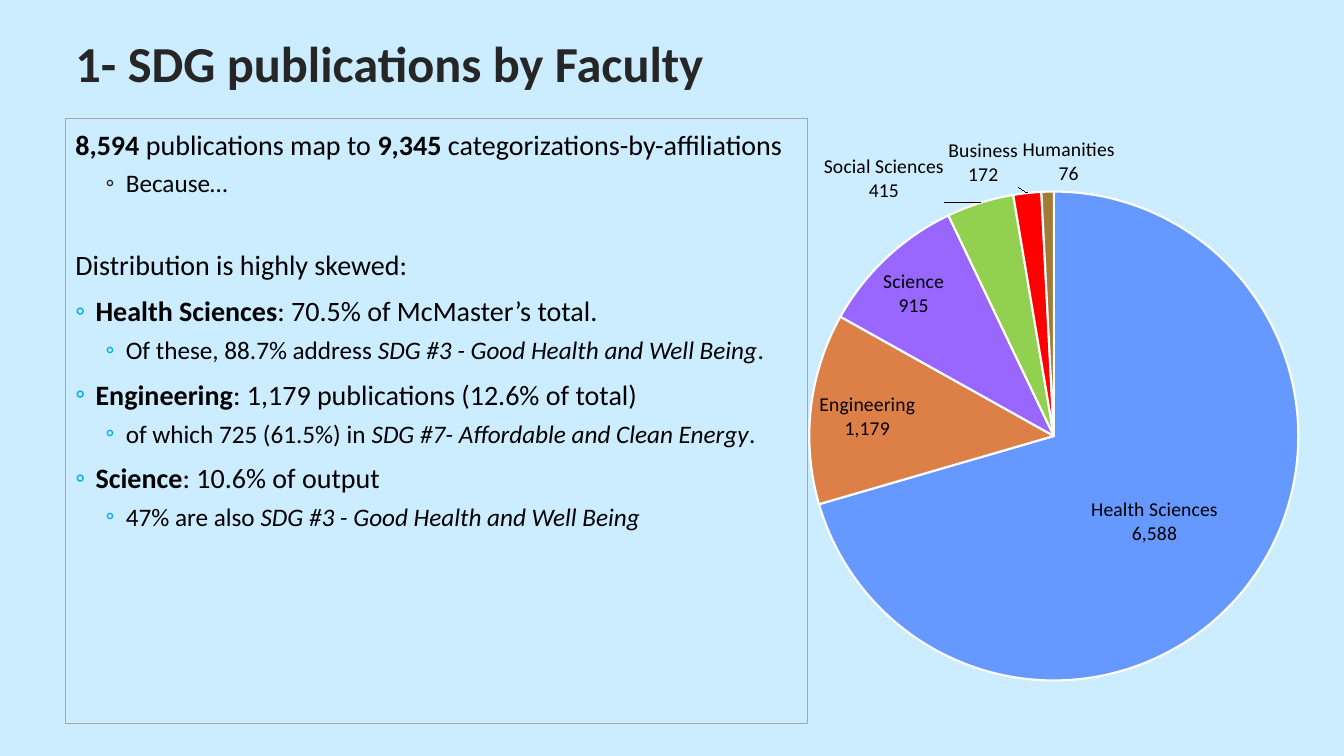
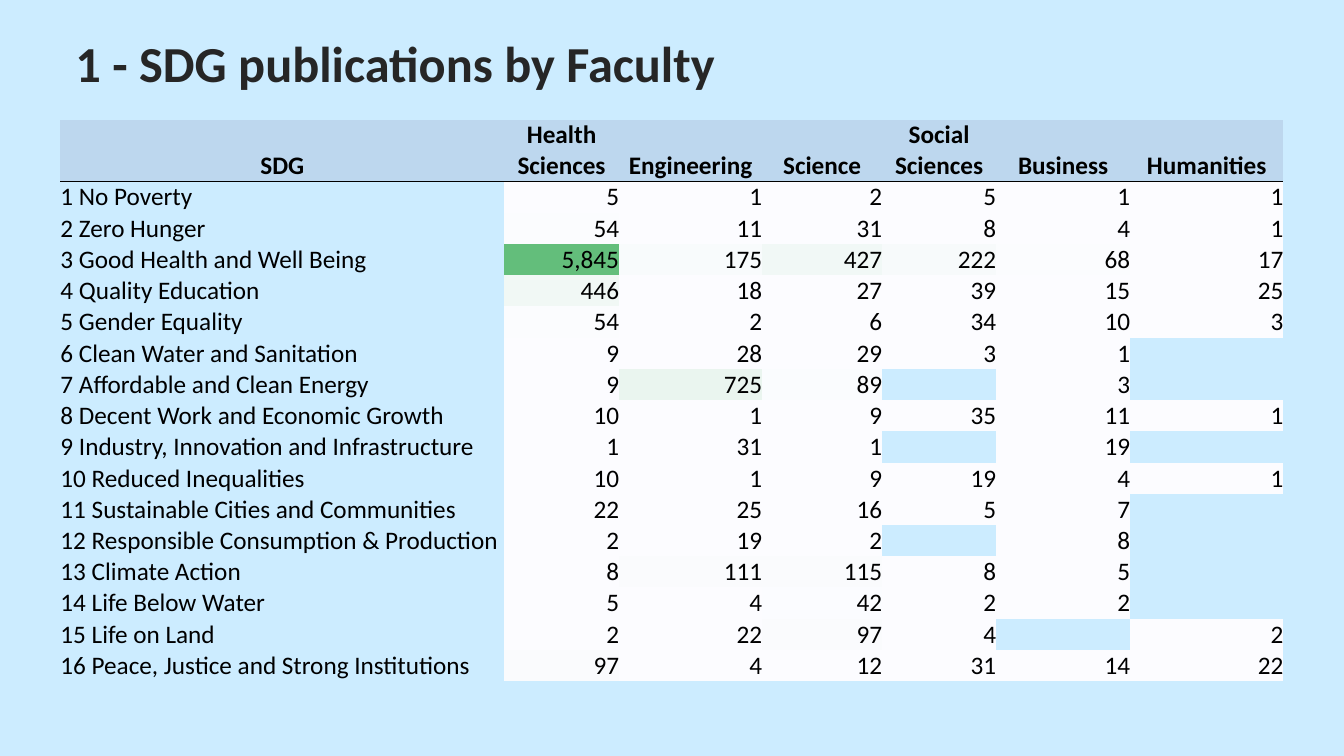
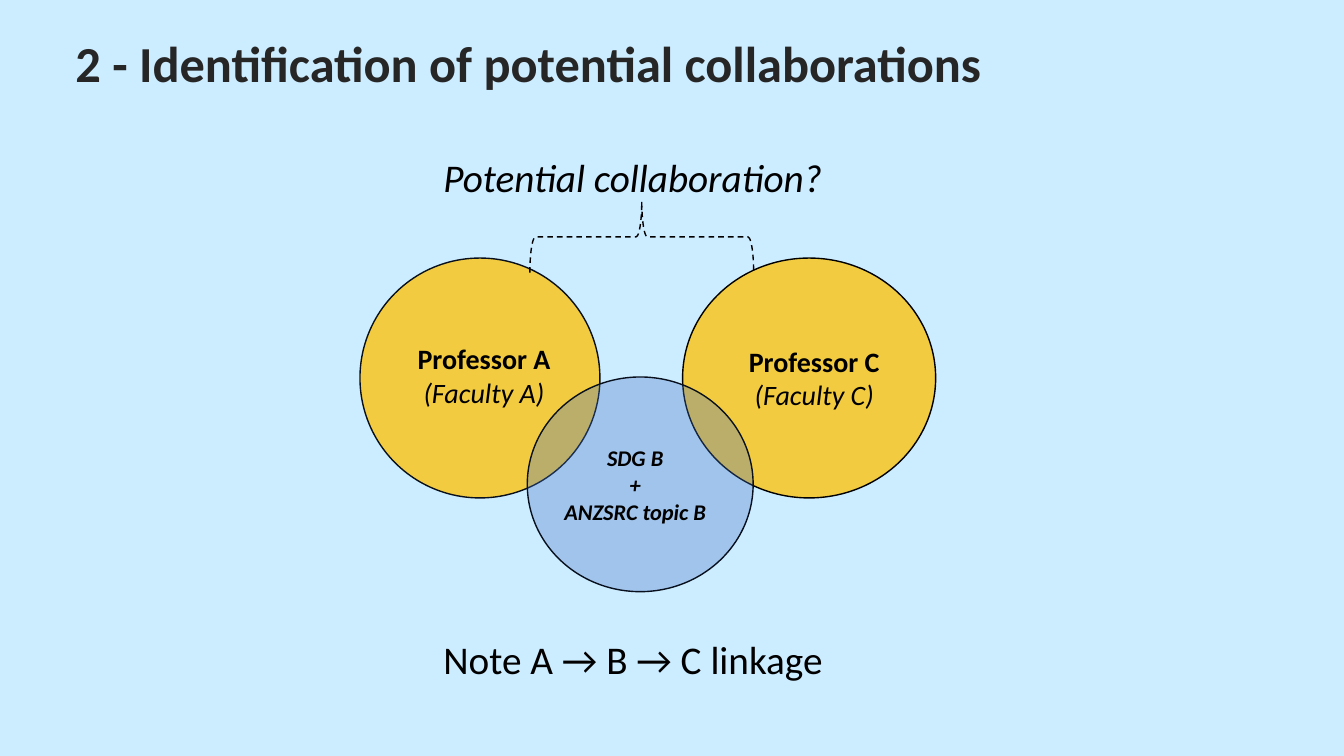
from math import ceil

from pptx import Presentation
from pptx.chart.data import CategoryChartData
from pptx.dml.color import RGBColor
from pptx.enum.chart import XL_CHART_TYPE as ChartType, XL_LABEL_POSITION as LabelPosition
from pptx.enum.dml import MSO_LINE as Dash
from pptx.enum.shapes import MSO_SHAPE as Shape
from pptx.enum.text import MSO_ANCHOR as Anchor, PP_ALIGN as Align
from pptx.oxml import parse_xml
from pptx.oxml.ns import nsdecls, qn
from pptx.util import Inches, Pt

FONT = "Calibri"
COLORS = {
    "background": "CCECFF", "title": "262626", "text": "000000", "white": "FFFFFF",
    "frame": "A6A6A6", "bullet": "00B0F0", "header": "BDD7EE",
    "scale_low": "FCFCFF", "scale_high": "63BE7B",
    "professor": "FFC000", "topic": "4472C4", "outline": "09101D",
}
NO_GRID_STYLE = "{2D5ABB26-0587-4C30-8999-92F81FD0307C}"

FINDINGS = [
    ("plain", 0, [("8,594", "b"), (" publications map to ", ""), ("9,345", "b"),
                  (" categorizations-by-affiliations", "")]),
    ("aside", 5, [("Because…", "")]),
    ("plain", 33, [("Distribution is highly skewed:", "")]),
    ("item", 9, [("Health Sciences", "b"), (": 70.5% of McMaster’s total.", "")]),
    ("detail", 5, [("Of these, 88.7% address ", ""),
                   ("SDG #3 - Good Health and Well Being", "i"), (".", "")]),
    ("item", 9, [("Engineering", "b"), (": 1,179 publications (12.6% of total)", "")]),
    ("detail", 5, [("of which 725 (61.5%) in ", ""),
                   ("SDG #7- Affordable and Clean Energy", "i"), (".", "")]),
    ("item", 9, [("Science", "b"), (": 10.6% of output", "")]),
    ("detail", 5, [("47% are also ", ""), ("SDG #3 - Good Health and Well Being", "i")]),
]
BULLETS = {"aside": (0.5, 18, "title"), "item": (0.2, 20, "bullet"),
           "detail": (0.5, 18, "bullet")}

FACULTIES = [
    ("Health Sciences", 6588, "6699FF"), ("Engineering", 1179, "DD8047"),
    ("Science", 915, "9966FF"), ("Social Sciences", 415, "92D050"),
    ("Business", 172, "FF0000"), ("Humanities", 76, "A17C36"),
]
LABEL_SHIFTS = {0: (-0.19, -0.16), 3: (-0.04, 0.01)}

GOALS = [
    ("1 No Poverty", 5, 1, 2, 5, 1, 1),
    ("2 Zero Hunger", 54, 11, 31, 8, 4, 1),
    ("3 Good Health and Well Being", 5845, 175, 427, 222, 68, 17),
    ("4 Quality Education", 446, 18, 27, 39, 15, 25),
    ("5 Gender Equality", 54, 2, 6, 34, 10, 3),
    ("6 Clean Water and Sanitation", 9, 28, 29, 3, 1, None),
    ("7 Affordable and Clean Energy", 9, 725, 89, None, 3, None),
    ("8 Decent Work and Economic Growth", 10, 1, 9, 35, 11, 1),
    ("9 Industry, Innovation and Infrastructure", 1, 31, 1, None, 19, None),
    ("10 Reduced Inequalities", 10, 1, 9, 19, 4, 1),
    ("11 Sustainable Cities and Communities", 22, 25, 16, 5, 7, None),
    ("12 Responsible Consumption & Production", 2, 19, 2, None, 8, None),
    ("13 Climate Action", 8, 111, 115, 8, 5, None),
    ("14 Life Below Water", 5, 4, 42, 2, 2, None),
    ("15 Life on Land", 2, 22, 97, 4, None, 2),
    ("16 Peace, Justice and Strong Institutions", 97, 4, 12, 31, 14, 22),
]
COLUMN_WIDTHS = [4.4, 1.14, 1.42, 1.19, 1.13, 1.33, 1.52]


def rgb(name):
    """Return the colour for a palette name or a hex string."""
    return RGBColor.from_string(COLORS.get(name, name))


def style_font(font, size, color="text", style=""):
    """Set face, size, colour and the b and i flags of a font."""
    font.name, font.size = FONT, Pt(size)
    font.color.rgb = rgb(color)
    font.bold, font.italic = "b" in style, "i" in style


def add_spans(para, spans, size):
    """Add styled runs to a paragraph."""
    for text, style in spans:
        span = para.add_run()
        span.text = text
        style_font(span.font, size, style=style)


def add_bullet(para, margin, color):
    """Give a paragraph a hanging ring bullet."""
    props = para._p.get_or_add_pPr()
    props.set("marL", str(Inches(margin)))
    props.set("indent", str(Inches(-0.2)))
    for xml in (f'<a:buClr {nsdecls("a")}><a:srgbClr val="{COLORS[color]}"/></a:buClr>',
                f'<a:buFont {nsdecls("a")} typeface="{FONT}"/>',
                f'<a:buChar {nsdecls("a")} char="◦"/>'):
        props.append(parse_xml(xml))


def add_text(page, box, text, size, color="text", style=""):
    """Place one line of text in a box and return its frame."""
    frame = page.shapes.add_textbox(*map(Inches, box)).text_frame
    frame.word_wrap = True
    frame.text = text
    style_font(frame.paragraphs[0].runs[0].font, size, color, style)
    return frame


def add_page(deck, title):
    """Add a blank slide with the shared title."""
    page = deck.slides.add_slide(deck.slide_layouts[6])
    frame = add_text(page, (0.65, 0.36, 11.52, 0.6), title, 36, "title", "b")
    frame.vertical_anchor = Anchor.MIDDLE
    frame.paragraphs[0].line_spacing = 0.9
    return page


def add_outlined(page, kind, box, color, width):
    """Add an unfilled preset shape with a plain outline."""
    shape = page.shapes.add_shape(kind, *map(Inches, box))
    shape.shadow.inherit = False
    shape.fill.background()
    shape.line.color.rgb = rgb(color)
    shape.line.width = Pt(width)
    return shape


def add_findings(page, box):
    """Write the findings in a framed box."""
    frame = add_outlined(page, Shape.RECTANGLE, box, "frame", 0.75).text_frame
    frame.word_wrap = True
    frame.vertical_anchor = Anchor.TOP
    for index, (kind, gap, spans) in enumerate(FINDINGS):
        para = frame.add_paragraph() if index else frame.paragraphs[0]
        para.alignment = Align.LEFT
        para.space_before = Pt(gap)
        size = 20
        if kind in BULLETS:
            margin, size, color = BULLETS[kind]
            add_bullet(para, margin, color)
        else:
            para.line_spacing = 1.1
        add_spans(para, spans, size)


def manual_layout(x, y, extra=""):
    """Return chart layout XML for a position."""
    return (f'<c:layout {nsdecls("c")}><c:manualLayout>{extra}'
            f'<c:x val="{x}"/><c:y val="{y}"/>')


def shifted_label(index, x, y):
    """Return a pie label moved from its default place."""
    return parse_xml(
        f'<c:dLbl {nsdecls("c")}><c:idx val="{index}"/>'
        f'{manual_layout(x, y)}</c:manualLayout></c:layout>'
        '<c:dLblPos val="bestFit"/><c:showLegendKey val="0"/><c:showVal val="1"/>'
        '<c:showCatName val="1"/><c:showSerName val="0"/><c:showPercent val="0"/>'
        '<c:showBubbleSize val="0"/><c:separator>\n</c:separator></c:dLbl>')


def add_faculty_pie(page, box):
    """Draw publications by faculty as a labelled pie."""
    data = CategoryChartData(number_format="#,##0")
    data.categories = [name for name, _, _ in FACULTIES]
    data.add_series("Series 1", [count for _, count, _ in FACULTIES])
    chart = page.shapes.add_chart(ChartType.PIE, *map(Inches, box), data).chart
    chart.has_legend = chart.has_title = False
    style_font(chart.font, 10)
    plot = chart.plots[0]
    plot.vary_by_categories = True
    series = plot.series[0]
    for index, (_, _, color) in enumerate(FACULTIES):
        slice_format = series.points[index].format
        slice_format.fill.solid()
        slice_format.fill.fore_color.rgb = rgb(color)
        slice_format.line.color.rgb = rgb("white")
        slice_format.line.width = Pt(1.5)

    labels = series.data_labels
    labels.show_value = labels.show_category_name = True
    labels.number_format, labels.number_format_is_linked = "#,##0", False
    labels.position = LabelPosition.BEST_FIT
    style_font(labels.font, 14)
    node = labels._element
    node.find(qn("c:showBubbleSize")).addnext(
        parse_xml(f'<c:separator {nsdecls("c")}>\n</c:separator>'))
    for place, (index, shift) in enumerate(LABEL_SHIFTS.items()):
        node.insert(place, shifted_label(index, *shift))

    area = chart._chartSpace.chart.plotArea
    for layout in area.findall(qn("c:layout")):
        area.remove(layout)
    modes = ('<c:layoutTarget val="inner"/><c:xMode val="edge"/><c:yMode val="edge"/>')
    area.insert(0, parse_xml(manual_layout(0.19, 0.1, modes)
                             + '<c:w val="0.57"/><c:h val="0.9"/>'
                             '</c:manualLayout></c:layout>'))


def scale_color(value, low, high):
    """Return the heat colour of a value between two limits."""
    share = (value - low) / (high - low)
    pairs = zip(rgb("scale_low"), rgb("scale_high"))
    return RGBColor(*(ceil(start + (end - start) * share) for start, end in pairs))


def fill_cell(cell, text, align, style="", color=None):
    """Write one table cell with no margins."""
    cell.margin_left = cell.margin_right = cell.margin_top = cell.margin_bottom = 0
    cell.vertical_anchor = Anchor.BOTTOM
    if color is None:
        cell.fill.background()
    else:
        cell.fill.solid()
        cell.fill.fore_color.rgb = color
    para = cell.text_frame.paragraphs[0]
    para.text = text
    para.alignment = align
    style_font(para.font, 18, style=style)
    for span in para.runs:
        style_font(span.font, 18, style=style)


def add_goal_table(page, left, top):
    """Draw the heat table of goals by faculty."""
    table = page.shapes.add_table(
        len(GOALS) + 1, len(COLUMN_WIDTHS), Inches(left), Inches(top),
        Inches(sum(COLUMN_WIDTHS)), Inches(0.61 + 0.31 * len(GOALS))).table
    table.horz_banding = False
    table._tbl.tblPr.find(qn("a:tableStyleId")).text = NO_GRID_STYLE
    for column, width in zip(table.columns, COLUMN_WIDTHS):
        column.width = Inches(width)
    for index, row in enumerate(table.rows):
        row.height = Inches(0.31 if index else 0.61)

    for column, name in enumerate(["SDG"] + [name for name, _, _ in FACULTIES]):
        cell = table.cell(0, column)
        fill_cell(cell, name, Align.CENTER, "b", rgb("header"))
        cell._tc.get_or_add_tcPr().insert(0, parse_xml(
            f'<a:lnB {nsdecls("a")} w="{Pt(0.5)}"><a:solidFill>'
            f'<a:srgbClr val="{COLORS["text"]}"/></a:solidFill></a:lnB>'))

    counts = [count for _, *row in GOALS for count in row if count is not None]
    low, high = min(counts), max(counts)
    for index, (goal, *row) in enumerate(GOALS, 1):
        fill_cell(table.cell(index, 0), goal, Align.LEFT)
        for column, count in enumerate(row, 1):
            cell = table.cell(index, column)
            if count is None:
                fill_cell(cell, "", Align.RIGHT)
            else:
                fill_cell(cell, f"{count:,}", Align.RIGHT, color=scale_color(count, low, high))


def add_circle(page, box, fill, opacity, outline, insets, size, lines):
    """Draw a see-through circle with centred lines."""
    circle = add_outlined(page, Shape.OVAL, box, outline, 1)
    circle.fill.solid()
    circle.fill.fore_color.rgb = rgb(fill)
    circle._element.spPr.find(qn("a:solidFill"))[0].append(
        parse_xml(f'<a:alpha {nsdecls("a")} val="{opacity * 1000}"/>'))
    frame = circle.text_frame
    frame.word_wrap = True
    frame.vertical_anchor = Anchor.MIDDLE
    (frame.margin_left, frame.margin_top,
     frame.margin_right, frame.margin_bottom) = map(Inches, insets)
    for index, line in enumerate(lines):
        para = frame.add_paragraph() if index else frame.paragraphs[0]
        para.alignment = Align.CENTER
        add_spans(para, [line], size)


def add_collaboration_diagram(page, left, top):
    """Draw two professors linked by a shared topic."""
    add_circle(page, (left, top + 1.09, 2.38, 2.38), "professor", 75, "outline",
               (0.18, 0, 0.1, 0.05), 20, [("Professor A", "b"), ("(Faculty A)", "i")])
    add_circle(page, (left + 3.2, top + 1.09, 2.51, 2.38), "professor", 75, "text",
               (0.2, 0.05, 0.1, 0.05), 20, [("Professor C", "b"), ("(Faculty C)", "i")])
    add_circle(page, (left + 1.66, top + 2.27, 2.24, 2.13), "topic", 32, "outline",
               (0, 0.05, 0.1, 0.05), 16,
               [("SDG B", "bi"), ("+", "bi"), ("ANZSRC topic B", "bi")])
    brace = add_outlined(page, Shape.RIGHT_BRACE, (left + 2.44, top - 0.23, 0.71, 2.22),
                         "text", 1)
    brace.rotation = 270
    brace.adjustments[0], brace.adjustments[1] = 0.08, 0.5
    brace.line.dash_style = Dash.DASH
    add_text(page, (left + 0.73, top + 4.78, 4.99, 0.57), "Note A → B → C linkage", 28)
    add_text(page, (left + 0.73, top, 4.73, 0.57), "Potential collaboration?", 28, style="i")


def main():
    """Build and save the deck."""
    deck = Presentation()
    deck.slide_width, deck.slide_height = Inches(13.33), Inches(7.5)
    backdrop = deck.slide_master.background.fill
    backdrop.solid()
    backdrop.fore_color.rgb = rgb("background")

    page = add_page(deck, "1- SDG publications by Faculty")
    add_findings(page, (0.65, 1.18, 7.36, 6))
    add_faculty_pie(page, (6.41, 1.29, 8.51, 5.52))

    page = add_page(deck, "1 - SDG publications by Faculty")
    add_goal_table(page, 0.6, 1.19)

    page = add_page(deck, "2 - Identification of potential collaborations")
    add_collaboration_diagram(page, 3.57, 1.47)

    deck.save("out.pptx")


if __name__ == "__main__":
    main()
